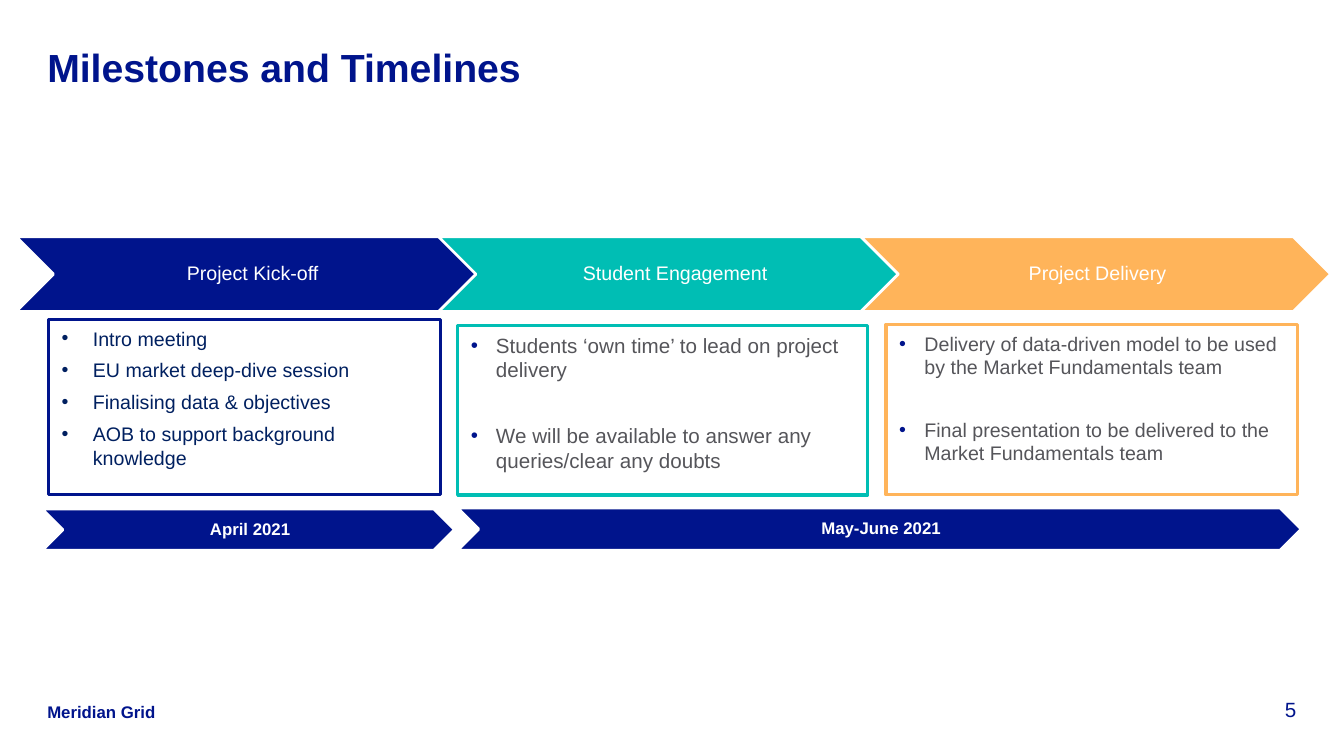
from lxml import etree
from pptx import Presentation
from pptx.dml.color import RGBColor
from pptx.enum.shapes import MSO_SHAPE
from pptx.enum.text import MSO_ANCHOR, MSO_AUTO_SIZE, PP_ALIGN
from pptx.oxml.ns import qn
from pptx.util import Pt

CHEVRON, RECTANGLE = MSO_SHAPE.CHEVRON, MSO_SHAPE.RECTANGLE
TOP, MIDDLE, BOTTOM = MSO_ANCHOR.TOP, MSO_ANCHOR.MIDDLE, MSO_ANCHOR.BOTTOM
LEFT, CENTER, RIGHT = PP_ALIGN.LEFT, PP_ALIGN.CENTER, PP_ALIGN.RIGHT
NO_AUTOFIT = MSO_AUTO_SIZE.NONE
TITLE_ONLY = 5

NAVY, TEAL, AMBER = "00148C", "00BEB4", "FFB45A"
INK, GREY, WHITE = "002060", "55555A", "FFFFFF"

STAGES = [("Project Kick-off", NAVY), ("Student Engagement", TEAL), ("Project Delivery", AMBER)]
STAGE_PITCH = 301.7
TASKS = [
    ((34.6, 228.2, 280.1, 125.3), NAVY, INK, INK, 14, 22.3, 0,
     ["Intro meeting", "EU market deep-dive session", "Finalising data & objectives",
      "AOB to support background knowledge"]),
    ((326.9, 232.6, 293, 121), TEAL, GREY, NAVY, 14.7, 18, 23,
     ["Students ‘own time’ to lead on project delivery",
      "We will be available to answer any queries/clear any doubts"]),
    ((632.9, 231.8, 293.8, 121.7), AMBER, GREY, NAVY, 14, 18, 22,
     ["Delivery of data-driven model to be used by the Market Fundamentals team",
      "Final presentation to be delivered to the Market Fundamentals team"]),
]
PERIODS = [((30.2, 363.6, 294.5, 29.5), "April 2021"),
           ((326.9, 362.9, 602.6, 30.2), "May-June 2021")]


def colour(value):
    """Turn a hex string into a colour."""
    return RGBColor.from_string(value)


def style_font(paragraph, size, ink, bold=False):
    """Set the font of a whole paragraph."""
    font = paragraph.font
    font.name, font.size, font.bold = "Arial", Pt(size), bold
    font.color.rgb = colour(ink)


def set_frame(frame, anchor, insets):
    """Wrap a text frame and set its anchor and left, top, right, bottom insets."""
    frame.word_wrap = True
    frame.auto_size = NO_AUTOFIT
    frame.vertical_anchor = anchor
    (frame.margin_left, frame.margin_top,
     frame.margin_right, frame.margin_bottom) = map(Pt, insets)


def add_bullet(paragraph, indent, ink):
    """Give a paragraph a hanging bullet."""
    properties = paragraph._p.get_or_add_pPr()
    properties.set("marL", str(Pt(indent)))
    properties.set("indent", str(-Pt(indent)))
    bullet_colour = etree.SubElement(properties, qn("a:buClr"))
    etree.SubElement(bullet_colour, qn("a:srgbClr"), val=ink)
    etree.SubElement(properties, qn("a:buFont"), typeface="Arial")
    etree.SubElement(properties, qn("a:buChar"), char="•")


def add_title(slide, box, text):
    """Fill and place the title placeholder."""
    title = slide.shapes.title
    title.left, title.top, title.width, title.height = map(Pt, box)
    set_frame(title.text_frame, TOP, (0, 3, 0, 0))
    title.text_frame.text = text
    heading = title.text_frame.paragraphs[0]
    heading.alignment = LEFT
    style_font(heading, 28, NAVY, True)


def add_chevron(slide, box, text, fill, size, bold=False):
    """Draw a labelled chevron in the box."""
    chevron = slide.shapes.add_shape(CHEVRON, *map(Pt, box))
    chevron.shadow.inherit = False
    chevron.fill.solid()
    chevron.fill.fore_color.rgb = colour(fill)
    chevron.line.color.rgb = colour(WHITE)
    chevron.line.width = Pt(2)
    set_frame(chevron.text_frame, MIDDLE, (4, 1.5, 1.5, 1.5))
    chevron.text_frame.text = text
    label = chevron.text_frame.paragraphs[0]
    label.alignment = CENTER
    label.line_spacing = 0.9
    style_font(label, size, WHITE, bold)


def add_stages(slide, box):
    """Draw the row of overlapping stages, the first one in the box."""
    left, top, width, height = box
    for index, (name, fill) in enumerate(STAGES):
        add_chevron(slide, (left + index * STAGE_PITCH, top, width, height), name, fill, 14)


def add_tasks(slide, box, border, ink, bullet_ink, size, indent, gap, tasks):
    """Draw an outlined box with a bulleted list of tasks."""
    panel = slide.shapes.add_shape(RECTANGLE, *map(Pt, box))
    panel.shadow.inherit = False
    panel.fill.background()
    panel.line.color.rgb = colour(border)
    panel.line.width = Pt(2.25)
    frame = panel.text_frame
    set_frame(frame, TOP, (9.4, 5, 9.4, 5))
    frame.text = "\n".join(tasks)
    for index, task in enumerate(frame.paragraphs):
        task.alignment = LEFT
        task.space_before = Pt(gap if index else 0)
        task.space_after = Pt(6)
        add_bullet(task, indent, bullet_ink)
        style_font(task, size, ink)


def add_footer(slide, box, text, size, alignment, bold=False):
    """Write one footer text in the box."""
    footer = slide.shapes.add_textbox(*map(Pt, box))
    set_frame(footer.text_frame, BOTTOM, (0, 0, 0, 0))
    footer.text_frame.text = text
    line = footer.text_frame.paragraphs[0]
    line.alignment = alignment
    style_font(line, size, NAVY, bold)


def main():
    """Build the slide and save it."""
    presentation = Presentation()
    presentation.slide_width, presentation.slide_height = Pt(960), Pt(540)
    slide = presentation.slides.add_slide(presentation.slide_layouts[TITLE_ONLY])
    add_title(slide, (33.8, 28.1, 650, 45.4), "Milestones and Timelines")
    add_stages(slide, (11.6, 169.2, 335.5, 53.3))
    for tasks in TASKS:
        add_tasks(slide, *tasks)
    for box, period in PERIODS:
        add_chevron(slide, box, period, NAVY, 12, True)
    add_footer(slide, (33.8, 501.1, 95.8, 14.4), "Meridian Grid", 12, LEFT, True)
    add_footer(slide, (869.8, 497.5, 56.2, 18), "5", 14.7, RIGHT)
    presentation.save("out.pptx")


if __name__ == "__main__":
    main()
